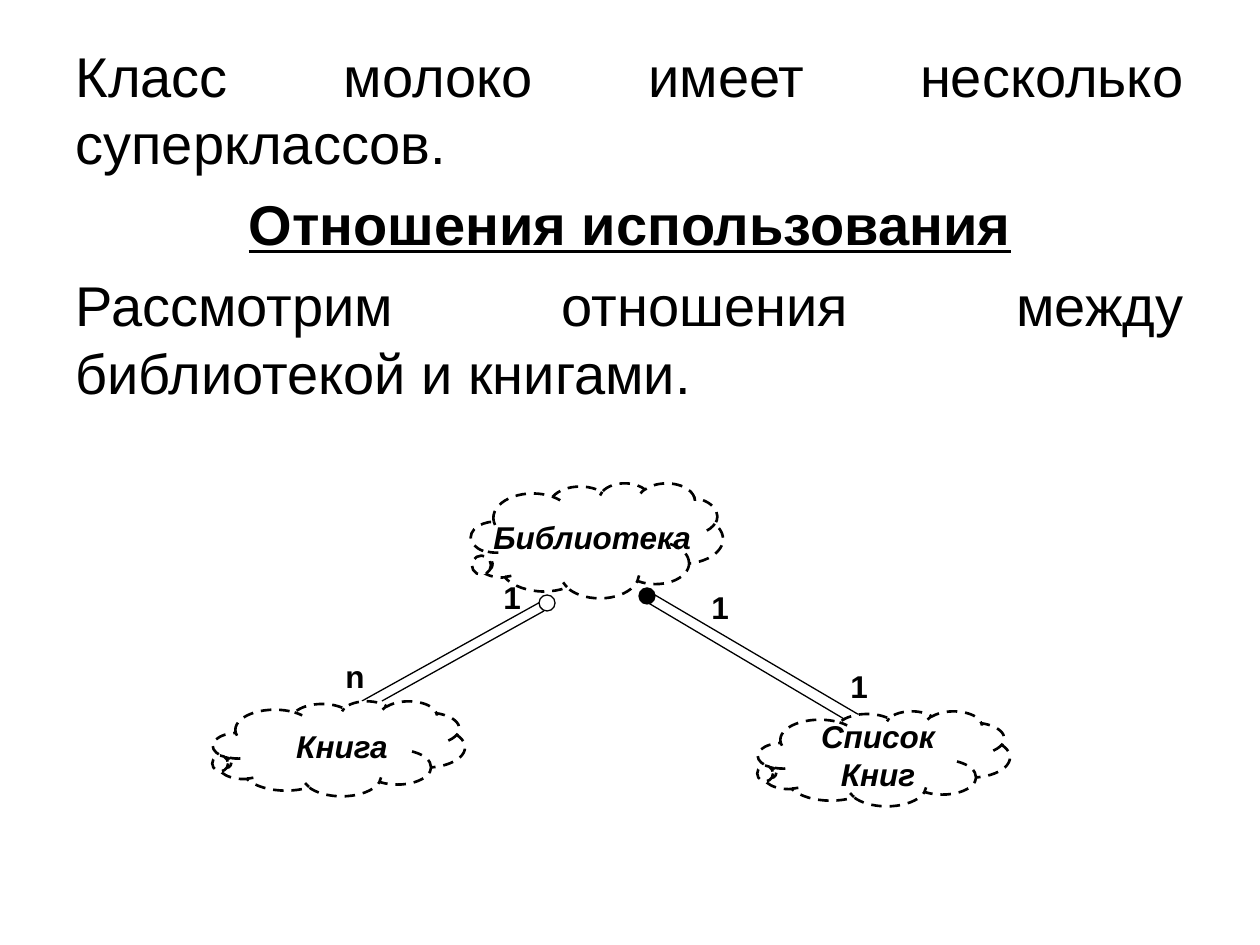
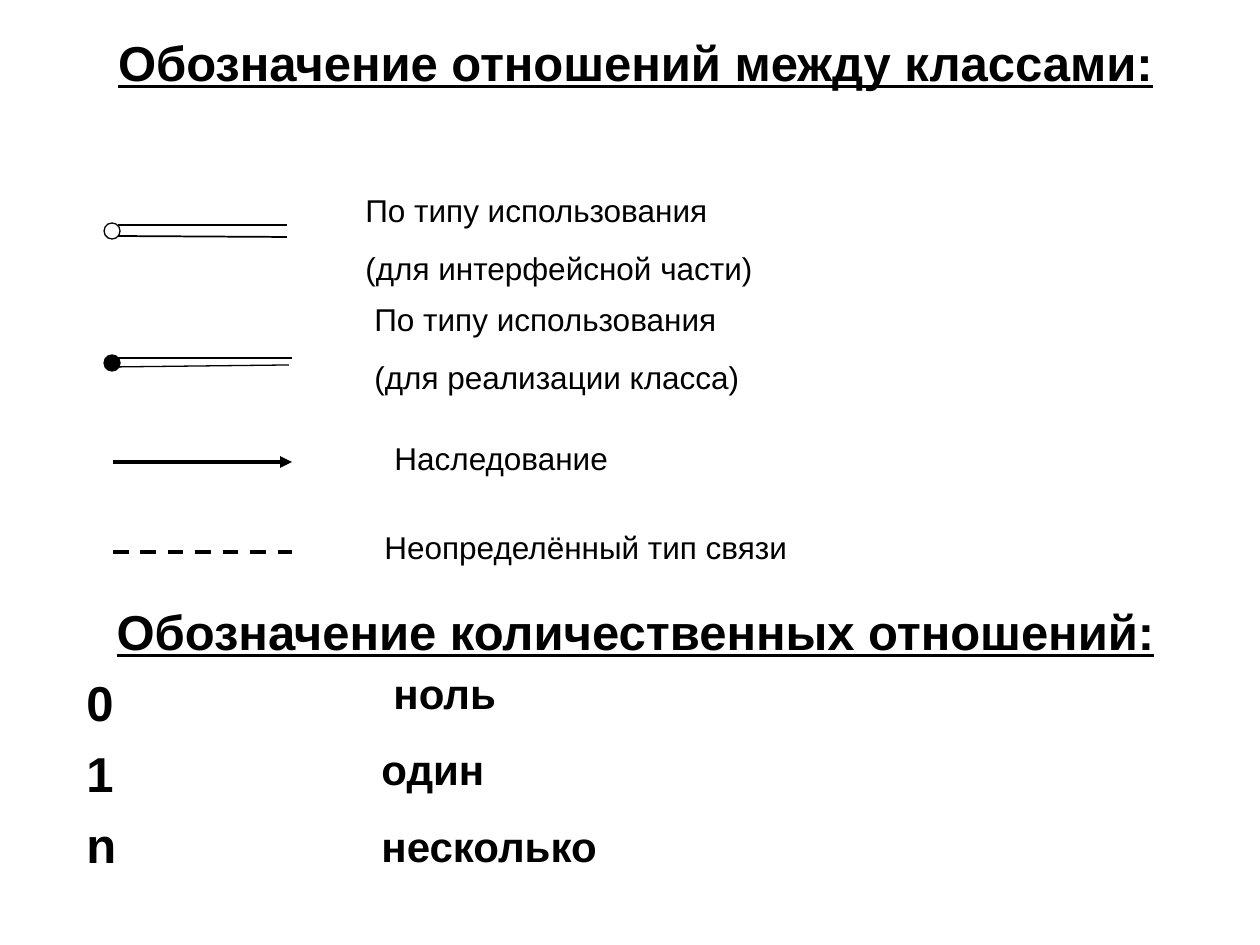
from lxml import etree
from pptx import Presentation
from pptx.dml.color import RGBColor
from pptx.enum.dml import MSO_LINE
from pptx.enum.shapes import MSO_CONNECTOR, MSO_SHAPE
from pptx.enum.text import MSO_ANCHOR, MSO_AUTO_SIZE, PP_ALIGN
from pptx.oxml.ns import qn
from pptx.util import Pt

BLACK = RGBColor(0, 0, 0)
WHITE = RGBColor(255, 255, 255)
FONT = "Arial"
PX = 914400 / 126
LEFT, CENTER, JUSTIFY = PP_ALIGN.LEFT, PP_ALIGN.CENTER, PP_ALIGN.JUSTIFY


def write(sp, box, lines, size, before, bold=False, italic=False, align=LEFT):
    sp.left, sp.top, sp.width, sp.height = [round(v * PX) for v in box]
    tf = sp.text_frame
    tf.word_wrap = True
    tf.auto_size = MSO_AUTO_SIZE.NONE
    tf.vertical_anchor = MSO_ANCHOR.TOP
    tf.text = "\n".join(lines)
    for p in tf.paragraphs:
        p.alignment = align
        p.space_before = Pt(before)
        for r in p.runs:
            r.font.name = FONT
            r.font.size = Pt(size)
            r.font.bold = bold
            r.font.italic = italic
            r.font.color.rgb = BLACK
    return tf.paragraphs


def add_line(slide, ends, width):
    ln = slide.shapes.add_connector(
        MSO_CONNECTOR.STRAIGHT, *[round(v * PX) for v in ends])
    ln.line.color.rgb = BLACK
    ln.line.width = Pt(width)
    etree.SubElement(ln._element.spPr, qn("a:effectLst"))
    return ln


prs = Presentation()
prs.slide_width = round(1260 * PX)
prs.slide_height = round(945 * PX)
usage = prs.slides.add_slide(prs.slide_layouts[1])
legend = prs.slides.add_slide(prs.slide_layouts[5])

title = usage.shapes.title
title._element.getparent().remove(title._element)
paragraphs = write(usage.placeholders[1], (63, 35, 1134, 808), [
    "Класс молоко имеет несколько суперклассов.",
    "Отношения использования",
    "Рассмотрим отношения между библиотекой и книгами.",
], 32, 8, align=JUSTIFY)
for p in paragraphs:
    pPr = p._p.get_or_add_pPr()
    pPr.set("marL", "0")
    pPr.set("indent", "0")
    etree.SubElement(pPr, qn("a:buNone"))
heading = paragraphs[1]
heading.alignment = CENTER
heading.runs[0].font.bold = True
heading.runs[0].font.underline = True

relations = [
    (usage, (362, 701, 544, 600), (382, 701, 544, 611), (539, 595), WHITE, 0.75),
    (usage, (856, 726, 645, 601), (861, 716, 655, 595), (639, 588), BLACK, 0.75),
    (legend, (287, 237, 112, 236), (287, 225, 118, 225), (104, 223), WHITE, 1),
    (legend, (289, 365, 110, 367), (292, 358, 118, 358), (104, 355), BLACK, 0.75),
]
for slide, first, second, corner, fill, width in relations:
    add_line(slide, first, width)
    dot = slide.shapes.add_shape(
        MSO_SHAPE.OVAL, *[round(v * PX) for v in (*corner, 16, 16)])
    dot.shadow.inherit = False
    dot.fill.solid()
    dot.fill.fore_color.rgb = fill
    dot.line.color.rgb = BLACK
    dot.line.width = Pt(0.75)
    add_line(slide, second, width)

clouds = [(471, 483, 115, 0.209), (758, 711, 95, 0.149), (213, 701, 95, 0.149)]
for left, top, height, tail in clouds:
    cloud = usage.shapes.add_shape(
        MSO_SHAPE.CLOUD_CALLOUT,
        *[round(v * PX) for v in (left, top, 252, height)])
    cloud.adjustments[0] = -0.445
    cloud.adjustments[1] = tail
    cloud.shadow.inherit = False
    cloud.fill.solid()
    cloud.fill.fore_color.rgb = WHITE
    cloud.line.color.rgb = BLACK
    cloud.line.width = Pt(1.5)
    cloud.line.dash_style = MSO_LINE.DASH

names = [
    ("Библиотека", (481, 512, 238, 50), LEFT),
    ("Книга", (243, 721, 198, 50), CENTER),
    ("Список Книг", (779, 711, 198, 88), CENTER),
]
for name, box, align in names:
    write(usage.shapes.add_textbox(0, 0, 0, 0), box, [name], 18, 11.2,
          bold=True, italic=True, align=align)

counts = [("1", 699, 582), ("1", 838, 661), ("1", 491, 572), ("n", 333, 651)]
for count, left, top in counts:
    write(usage.shapes.add_textbox(0, 0, 0, 0), (left, top, 45, 50), [count],
          18, 11.2, bold=True)

title = write(legend.shapes.title, (74, 26, 1123, 71),
              ["Обозначение отношений между классами:"], 28, 7,
              bold=True, align=CENTER)[0]
quantities = write(legend.shapes.add_textbox(0, 0, 0, 0), (74, 595, 1123, 297),
                   ["Обозначение количественных отношений:", "0", "1", "n"],
                   28, 7, bold=True)
quantities[0].alignment = CENTER
for p in (title, quantities[0]):
    p.runs[0].font.underline = True

arrow = add_line(legend, (113, 462, 292, 462), 2.25)
etree.SubElement(arrow.line._get_or_add_ln(), qn("a:tailEnd"), type="triangle")
add_line(legend, (113, 552, 292, 552), 2.25).line.dash_style = MSO_LINE.DASH

meanings = [
    ((353, 185, 692, 108), ["По типу использования", "(для интерфейсной части)"]),
    ((362, 294, 397, 108), ["По типу использования", "(для реализации класса)"]),
    ((382, 433, 358, 50), ["Наследование"]),
    ((372, 522, 525, 50), ["Неопределённый тип связи"]),
]
for box, lines in meanings:
    write(legend.shapes.add_textbox(0, 0, 0, 0), box, lines, 18, 11.2)

words = write(legend.shapes.add_textbox(0, 0, 0, 0), (369, 661, 320, 217),
              ["ноль", "один", "несколько"], 24, 15, bold=True)
words[0]._p.get_or_add_pPr().set("marL", str(round(12 * PX)))

prs.save("out.pptx")
